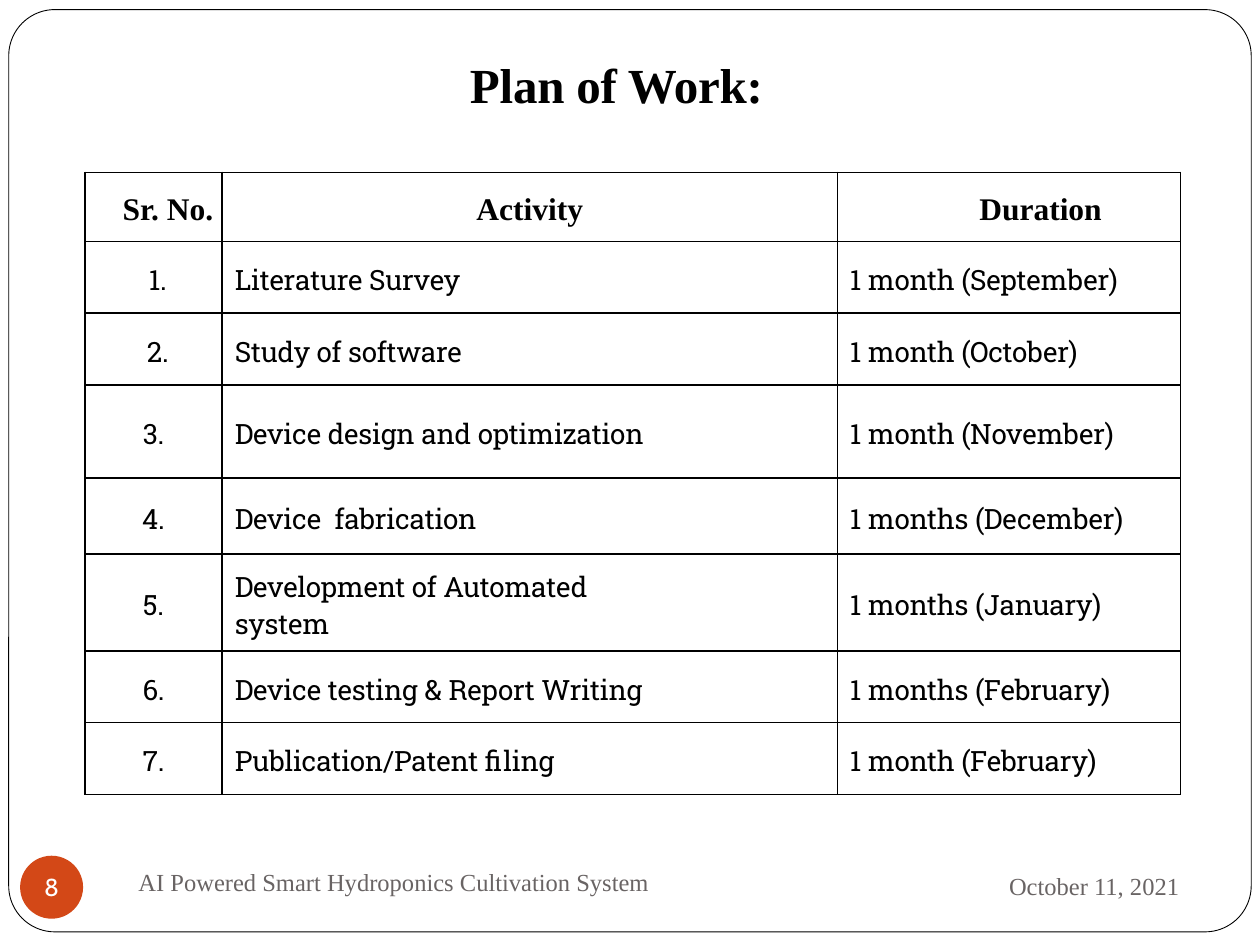
from dataclasses import dataclass

from lxml import etree
from pptx import Presentation
from pptx.dml.color import RGBColor
from pptx.enum import shapes, text
from pptx.oxml import ns
from pptx.util import Pt


@dataclass(frozen=True)
class Theme:
    black: RGBColor = RGBColor(0, 0, 0)
    white: RGBColor = RGBColor(255, 255, 255)
    grey: RGBColor = RGBColor(0x69, 0x64, 0x64)
    accent: RGBColor = RGBColor(0xD3, 0x48, 0x17)
    serif: str = "Times New Roman"
    slab: str = "Roboto Slab"
    sans: str = "Cabin"
    title_size: int = 28
    header_size: int = 18
    body_size: int = 16
    footer_size: int = 14


THEME = Theme()
LEFT, CENTER, RIGHT = text.PP_ALIGN.LEFT, text.PP_ALIGN.CENTER, text.PP_ALIGN.RIGHT

HEADERS = ["Sr. No.", "Activity", "Duration"]
PLAN = [
    ("Literature Survey", "1 month (September)"),
    ("Study of software", "1 month (October)"),
    ("Device design and optimization", "1 month (November)"),
    ("Device\u00a0 fabrication", "1 months (December)"),
    ("Development of Automated\nsystem", "1 months (January)"),
    ("Device testing & Report Writing", "1 months (February)"),
    ("Publication/Patent filing", "1 month (February)"),
]
COLUMN_WIDTHS = [78.5, 351.5, 195.8]
ROW_HEIGHTS = [39.5, 41, 41, 53.2, 43.4, 55.4, 41, 41]
HEADER_INDENTS = [16.5, 0, 36.5]


def format_paragraph(paragraph, font, size, color, align=LEFT, bold=False,
                     indent=0, before=0, spacing=0):
    """Style a paragraph; indent and before are points, spacing is points per letter."""
    paragraph.alignment = align
    paragraph.space_before = Pt(before)
    properties = paragraph._p.get_or_add_pPr()
    properties.set("marL", str(Pt(indent)))
    properties.set("indent", "0")
    for run in paragraph.runs:
        run.font.name = font
        run.font.size = Pt(size)
        run.font.bold = bold
        run.font.color.rgb = color
        if spacing:
            run._r.get_or_add_rPr().set("spc", str(round(spacing * 100)))


def set_margins(item, left=0, top=0, right=0, bottom=0):
    item.margin_left, item.margin_top = Pt(left), Pt(top)
    item.margin_right, item.margin_bottom = Pt(right), Pt(bottom)


def set_borders(cell, widths):
    """Draw the left, right, top and bottom lines, in that order."""
    properties = cell._tc.get_or_add_tcPr()
    for position, (side, width) in enumerate(zip(("lnL", "lnR", "lnT", "lnB"), widths)):
        line = etree.Element(ns.qn(f"a:{side}"), w=str(Pt(width)))
        fill = etree.SubElement(line, ns.qn("a:solidFill"))
        etree.SubElement(fill, ns.qn("a:srgbClr"), val=str(THEME.black))
        properties.insert(position, line)


def add_frame(slide, left, top, width, height):
    frame = slide.shapes.add_shape(shapes.MSO_SHAPE.ROUNDED_RECTANGLE,
                                   Pt(left), Pt(top), Pt(width), Pt(height))
    frame.adjustments[0] = 0.05
    frame.shadow.inherit = False
    frame.fill.solid()
    frame.fill.fore_color.rgb = THEME.white
    frame.line.color.rgb = THEME.black
    frame.line.width = Pt(0.5)


def add_title(slide, left, top, width, height):
    box = slide.shapes.add_textbox(Pt(left), Pt(top), Pt(width), Pt(height))
    frame = box.text_frame
    frame.word_wrap = True
    set_margins(frame, top=1)
    frame.text = "Plan of Work:"
    format_paragraph(frame.paragraphs[0], THEME.serif, THEME.title_size, THEME.black,
                     bold=True, indent=8, before=0.9, spacing=-0.1)


def add_plan_table(slide, left, top, width, height):
    rows = [HEADERS] + [(f"{number}.", *entry) for number, entry in enumerate(PLAN, 1)]
    table = slide.shapes.add_table(len(rows), len(HEADERS), Pt(left), Pt(top),
                                   Pt(width), Pt(height)).table
    for column, column_width in zip(table.columns, COLUMN_WIDTHS):
        column.width = Pt(column_width)
    for row, row_height in zip(table.rows, ROW_HEIGHTS):
        row.height = Pt(row_height)

    for i, row in enumerate(rows):
        for j, content in enumerate(row):
            cell = table.cell(i, j)
            cell.text = content
            cell.vertical_anchor = text.MSO_ANCHOR.MIDDLE
            set_margins(cell, top=3)
            cell.fill.background()
            set_borders(cell, (1, 0.5 if j == len(row) - 1 else 1,
                               1, 0.5 if i == len(rows) - 1 else 1))
            for k, paragraph in enumerate(cell.text_frame.paragraphs):
                before = 0 if k else 3.1
                if i == 0:
                    format_paragraph(paragraph, THEME.serif, THEME.header_size,
                                     THEME.black, CENTER, True, HEADER_INDENTS[j], before)
                elif j == 0:
                    format_paragraph(paragraph, THEME.slab, THEME.body_size, THEME.black,
                                     CENTER, indent=5 if i <= 2 else 0,
                                     before=before, spacing=-0.1)
                else:
                    format_paragraph(paragraph, THEME.slab, THEME.body_size, THEME.black,
                                     indent=7.2, before=before, spacing=-0.1)


def add_footer_text(slide, left, top, width, height, content, align):
    box = slide.shapes.add_textbox(Pt(left), Pt(top), Pt(width), Pt(height))
    frame = box.text_frame
    frame.word_wrap = True
    frame.vertical_anchor = text.MSO_ANCHOR.MIDDLE
    frame.text = content
    format_paragraph(frame.paragraphs[0], THEME.serif, THEME.footer_size, THEME.grey, align)


def add_page_number(slide, left, top, diameter, number):
    badge = slide.shapes.add_shape(shapes.MSO_SHAPE.OVAL, Pt(left), Pt(top),
                                   Pt(diameter), Pt(diameter))
    badge.shadow.inherit = False
    badge.fill.solid()
    badge.fill.fore_color.rgb = THEME.accent
    badge.line.fill.background()
    frame = badge.text_frame
    frame.word_wrap = False
    frame.vertical_anchor = text.MSO_ANCHOR.MIDDLE
    set_margins(frame)
    frame.text = str(number)
    format_paragraph(frame.paragraphs[0], THEME.sans, THEME.footer_size, THEME.white, CENTER)


def main():
    presentation = Presentation()
    presentation.slide_width, presentation.slide_height = Pt(720), Pt(540)
    slide = presentation.slides.add_slide(presentation.slide_layouts[6])
    add_frame(slide, 5, 5.5, 710, 527)
    add_title(slide, 260.6, 30.2, 225.4, 34.6)
    add_plan_table(slide, 48.5, 98.5, sum(COLUMN_WIDTHS), sum(ROW_HEIGHTS))
    add_footer_text(slide, 486, 487.5, 195, 37.5, "October 11, 2021", RIGHT)
    add_page_number(slide, 11.5, 489, 36, 8)
    add_footer_text(slide, 72, 486, 312, 36,
                    "AI Powered Smart Hydroponics Cultivation System", LEFT)
    presentation.save("out.pptx")


if __name__ == "__main__":
    main()
